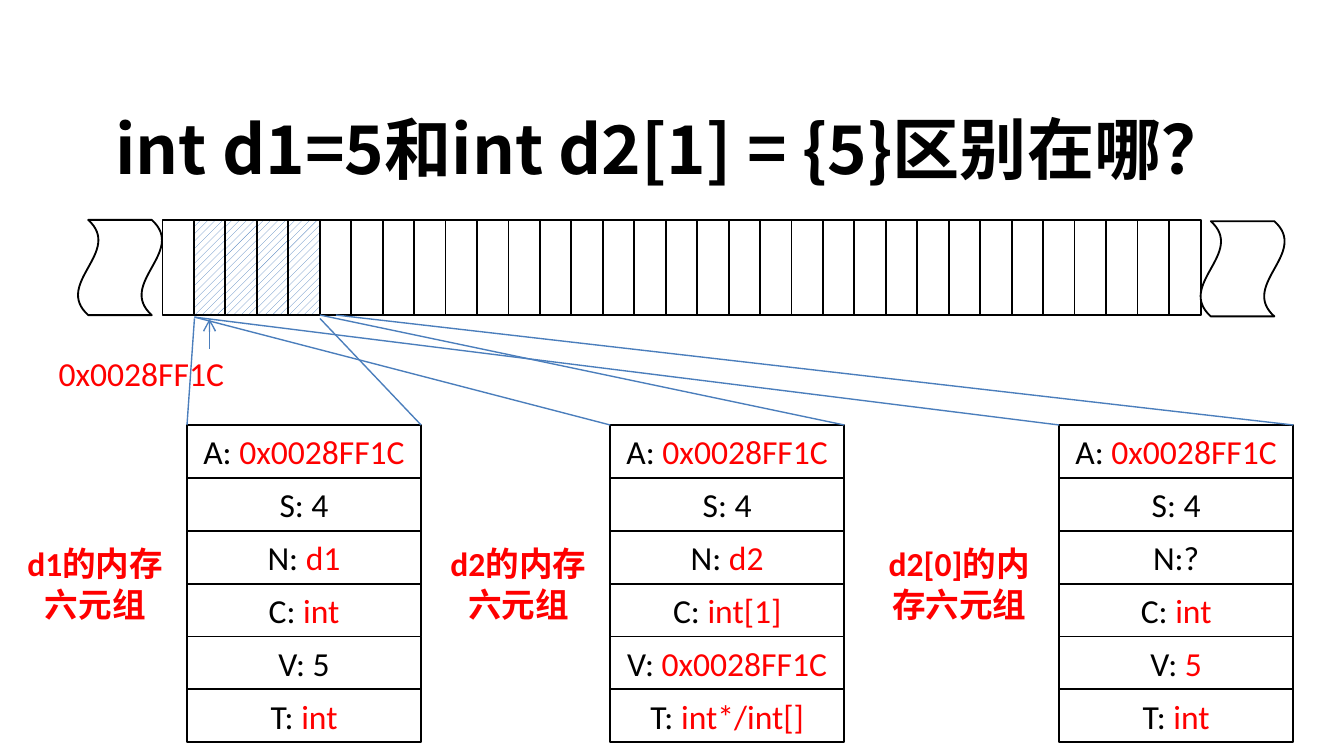
import pptx
import pptx.util
import pptx.dml.color
import pptx.enum.dml
import pptx.enum.shapes
import pptx.enum.text
import pptx.oxml.ns
import lxml.etree

Pt = pptx.util.Pt
SHAPE = pptx.enum.shapes.MSO_SHAPE
ANCHOR = pptx.enum.text.MSO_ANCHOR
FIT = pptx.enum.text.MSO_AUTO_SIZE
INK = {"black": "000000", "red": "FF0000", "white": "FFFFFF",
       "hatch": "4F81BD", "line": "4B7EBC"}
HAN = "Noto Sans CJK SC"
ADDRESS = "0x0028FF1C"
CELLS, STEP = 33, 16.85
USED = range(1, 5)


def tint(name):
    return pptx.dml.color.RGBColor.from_string(INK[name])


def child(parent, tag, **attrs):
    return lxml.etree.SubElement(parent, pptx.oxml.ns.qn(tag), attrs)


def write(frame, *runs, size=18, face="Calibri", bold=False, wrap=True,
          anchor=ANCHOR.MIDDLE, fit=FIT.NONE):
    frame.word_wrap = wrap
    frame.vertical_anchor = anchor
    frame.auto_size = fit
    para = frame.paragraphs[0]
    para.alignment = pptx.enum.text.PP_ALIGN.CENTER
    for text, color in runs:
        run = para.add_run()
        run.text = text
        font = run.font
        font.size, font.name, font.bold = Pt(size), face, bold
        font.color.rgb = tint(color)
        child(run._r.get_or_add_rPr(), "a:ea", typeface=HAN)


def block(slide, kind, box, fill=None, turn=0):
    x, y, w, h = box
    if turn:
        x, y, w, h = x + (w - h) / 2, y + (h - w) / 2, h, w
    shape = slide.shapes.add_shape(kind, Pt(x), Pt(y), Pt(w), Pt(h))
    shape.rotation = turn
    shape.shadow.inherit = False
    shape.line.color.rgb = tint("black")
    shape.line.width = Pt(1)
    if fill == "hatch":
        shape.fill.patterned()
        shape.fill.pattern = pptx.enum.dml.MSO_PATTERN.WIDE_UPWARD_DIAGONAL
        shape.fill.fore_color.rgb = tint("hatch")
        shape.fill.back_color.rgb = tint("white")
    elif fill:
        shape.fill.solid()
        shape.fill.fore_color.rgb = tint(fill)
    else:
        shape.fill.background()
    return shape


def link(slide, start, end, arrow=False):
    line = slide.shapes.add_connector(
        pptx.enum.shapes.MSO_CONNECTOR.STRAIGHT, *map(Pt, start + end))
    line.line.color.rgb = tint("line")
    line.line.width = Pt(0.75)
    if arrow:
        child(line.line._get_or_add_ln(), "a:tailEnd", type="arrow")
    child(line._element.spPr, "a:effectLst")


def label(slide, box, text, **style):
    note = slide.shapes.add_textbox(*map(Pt, box))
    write(note.text_frame, (text, "red"), anchor=ANCHOR.TOP,
          fit=FIT.SHAPE_TO_FIT_TEXT, **style)


def header(slide, box):
    title = slide.shapes.title
    title.left, title.top, title.width, title.height = map(Pt, box)
    write(title.text_frame, ("int d1=5和int d2[1] = {5}区别在哪？", "black"),
          size=36, face=HAN, bold=True)


def memory(slide, box):
    x, y, w, h = box
    wave = 45.4
    block(slide, SHAPE.WAVE, (x - wave, y, wave, h), "white", 270)
    for i in range(CELLS):
        fill = "hatch" if i in USED else "white"
        block(slide, SHAPE.RECTANGLE, (x + i * STEP, y, 17, h), fill, 90)
    block(slide, SHAPE.WAVE, (x + w, y + 0.7, wave, h), "white", 270)
    tip = x + 1.5 * STEP
    link(slide, (tip, y + 69), (tip, y + 53), arrow=True)
    label(slide, (22.5, y + 67.5, 106.5, 29), ADDRESS, wrap=False)


def record(slide, box, name, wide, rows, roots):
    x, y, w, h = box
    step = h / len(rows)
    for i, (key, value) in enumerate(rows):
        cell = block(slide, SHAPE.RECTANGLE, (x, y + i * step, w, step))
        cell.text_frame.margin_left = cell.text_frame.margin_right = 0
        runs = [(key, "black")] + ([(value, "red")] if value else [])
        write(cell.text_frame, *runs)
    label(slide, (x - 4.5 - wide, y + 59.7, wide, 51), name + "的内存六元组",
          bold=True)
    for root, edge in zip(roots, (x, x + w)):
        link(slide, root, (edge, y))


def main():
    deck = pptx.Presentation()
    deck.slide_width, deck.slide_height = Pt(720), Pt(405)
    slide = deck.slides.add_slide(deck.slide_layouts[5])
    header(slide, (36, 52, 648, 54))
    memory(slide, (87, 117.8, 556, 51))
    left = 104.2
    records = [
        (100.2, "d1", 89.3, "d1", "int", ("V: 5", ""), "int",
         ((left, 170.6), (171.4, 170.6))),
        (326.9, "d2", 89.3, "d2", "int[1]", ("V: ", ADDRESS), "int*/int[]",
         ((left, 169.9), (171.4, 168.8))),
        (567.4, "d2[0]", 98, "", "int", ("V: ", "5"), "int",
         ((left, 169.9), (180, 168.8))),
    ]
    for x, name, wide, var, kind, value, type_, roots in records:
        rows = [("A: ", ADDRESS), ("S: 4", ""),
                ("N: " if var else "N:?", var),
                ("C: ", kind), value, ("T: ", type_)]
        record(slide, (x, 227.7, 125.4, 170), name, wide, rows, roots)
    deck.save("out.pptx")


if __name__ == "__main__":
    main()
